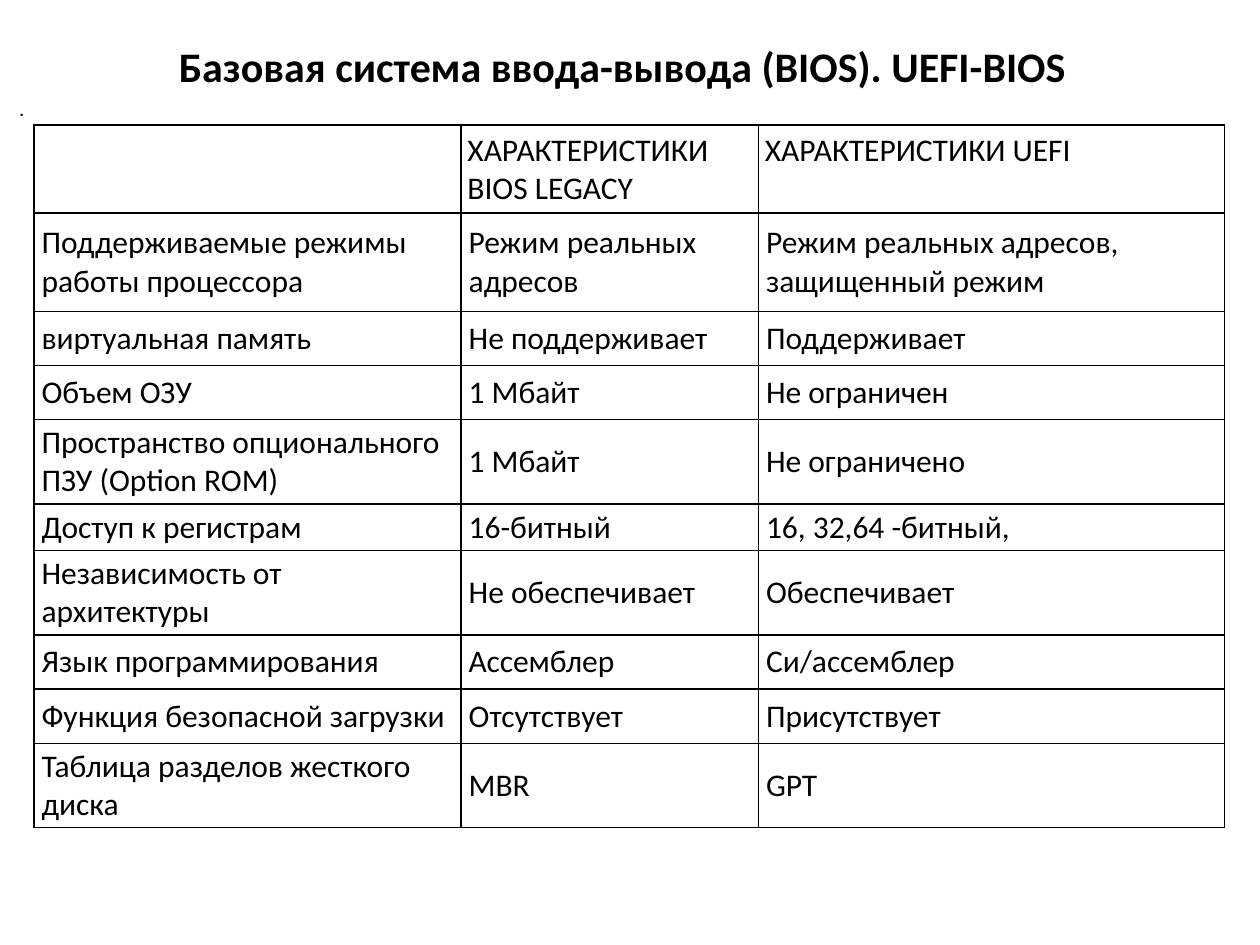
from dataclasses import dataclass

from lxml import etree
from pptx import Presentation
from pptx.dml.color import RGBColor
from pptx.enum.shapes import MSO_SHAPE
from pptx.enum.text import MSO_ANCHOR, MSO_AUTO_SIZE, PP_ALIGN
from pptx.oxml.ns import qn
from pptx.util import Inches, Pt

RECTANGLE = MSO_SHAPE.RECTANGLE
TOP, MIDDLE = MSO_ANCHOR.TOP, MSO_ANCHOR.MIDDLE
CENTER, JUSTIFY = PP_ALIGN.CENTER, PP_ALIGN.JUSTIFY
GROW = MSO_AUTO_SIZE.SHAPE_TO_FIT_TEXT


@dataclass(frozen=True)
class Theme:
    ink: str = "000000"
    paper: str = "FFFFFF"
    font: str = "Calibri"
    mark_font: str = "Arial"
    title_size: int = 24
    cell_size: int = 18
    mark_size: int = 12
    border_width: int = 1


THEME = Theme()

COLUMN_WIDTHS = (3.39, 2.36, 3.7)
COMPARISON = (
    (0.7, ("", "ХАРАКТЕРИСТИКИ BIOS LEGACY", "ХАРАКТЕРИСТИКИ UEFI")),
    (0.78, ("Поддерживаемые режимы работы процессора", "Режим реальных адресов",
            "Режим реальных адресов, защищенный режим")),
    (0.43, ("виртуальная память", "Не поддерживает", "Поддерживает")),
    (0.43, ("Объем ОЗУ", "1 Мбайт", "Не ограничен")),
    (0.67, ("Пространство опционального ПЗУ (Option ROM)", "1 Мбайт", "Не ограничено")),
    (0.37, ("Доступ к регистрам", "16-битный", "16, 32,64 -битный,")),
    (0.67, ("Независимость от архитектуры", "Не обеспечивает", "Обеспечивает")),
    (0.43, ("Язык программирования", "Ассемблер", "Си/ассемблер")),
    (0.43, ("Функция безопасной загрузки", "Отсутствует", "Присутствует")),
    (0.67, ("Таблица разделов жесткого диска", "MBR", "GPT")),
)


def set_margins(box, horizontal, vertical):
    box.margin_left = box.margin_right = Inches(horizontal)
    box.margin_top = box.margin_bottom = Inches(vertical)


def format_text(paragraph, size, font=THEME.font, bold=False):
    paragraph.font.size = Pt(size)
    for run in paragraph.runs:
        run.font.size = Pt(size)
        run.font.name = font
        run.font.bold = bold
        run.font.color.rgb = RGBColor.from_string(THEME.ink)


def add_title(slide, text):
    frame = slide.shapes.add_textbox(
        Inches(0.44), Inches(0.3), Inches(9), Inches(0.44)).text_frame
    frame.word_wrap = True
    frame.vertical_anchor = MIDDLE
    set_margins(frame, 0.1, 0)
    frame.text = text
    frame.paragraphs[0].alignment = CENTER
    format_text(frame.paragraphs[0], THEME.title_size, bold=True)


def add_mark(slide, text):
    """Add a flat strip whose height grows around its text."""
    strip = slide.shapes.add_shape(
        RECTANGLE, Inches(0), Inches(0.86), Inches(10), Inches(0))
    strip.shadow.inherit = False
    strip.fill.solid()
    strip.fill.fore_color.rgb = RGBColor.from_string(THEME.paper)
    strip.line.fill.background()
    frame = strip.text_frame
    frame.word_wrap = False
    frame.auto_size = GROW
    frame.vertical_anchor = MIDDLE
    set_margins(frame, 0.1, 0.05)
    frame.margin_left = Inches(0.15)
    frame.text = text
    frame.paragraphs[0].alignment = JUSTIFY
    format_text(frame.paragraphs[0], THEME.mark_size, THEME.mark_font)


def add_borders(cell):
    """Line all four sides; the lines must come before the cell's fill."""
    properties = cell._tc.get_or_add_tcPr()
    for index, side in enumerate(("a:lnL", "a:lnR", "a:lnT", "a:lnB")):
        line = etree.Element(qn(side), w=str(Pt(THEME.border_width)))
        fill = etree.SubElement(line, qn("a:solidFill"))
        etree.SubElement(fill, qn("a:srgbClr"), val=THEME.ink)
        properties.insert(index, line)


def fill_cell(cell, text, is_header):
    cell.text = text
    cell.vertical_anchor = TOP if is_header else MIDDLE
    set_margins(cell, *((0.05, 0.05) if is_header else (0.06, 0.03)))
    cell.fill.background()
    add_borders(cell)
    format_text(cell.text_frame.paragraphs[0], THEME.cell_size)


def add_comparison_table(slide, left, top):
    height = sum(row_height for row_height, _ in COMPARISON)
    table = slide.shapes.add_table(
        len(COMPARISON), len(COLUMN_WIDTHS), Inches(left), Inches(top),
        Inches(sum(COLUMN_WIDTHS)), Inches(height)).table
    table.first_row = table.horz_banding = False
    for column, width in zip(table.columns, COLUMN_WIDTHS):
        column.width = Inches(width)
    for index, (row, (row_height, texts)) in enumerate(zip(table.rows, COMPARISON)):
        row.height = Inches(row_height)
        for cell, text in zip(row.cells, texts):
            fill_cell(cell, text, is_header=index == 0)


def main():
    presentation = Presentation()
    presentation.slide_width, presentation.slide_height = Inches(10), Inches(7.5)
    slide = presentation.slides.add_slide(presentation.slide_layouts[6])
    add_title(slide, "Базовая система ввода-вывода (BIOS). UEFI-BIOS")
    add_mark(slide, ".")
    add_comparison_table(slide, 0.27, 0.99)
    presentation.save("out.pptx")


if __name__ == "__main__":
    main()
